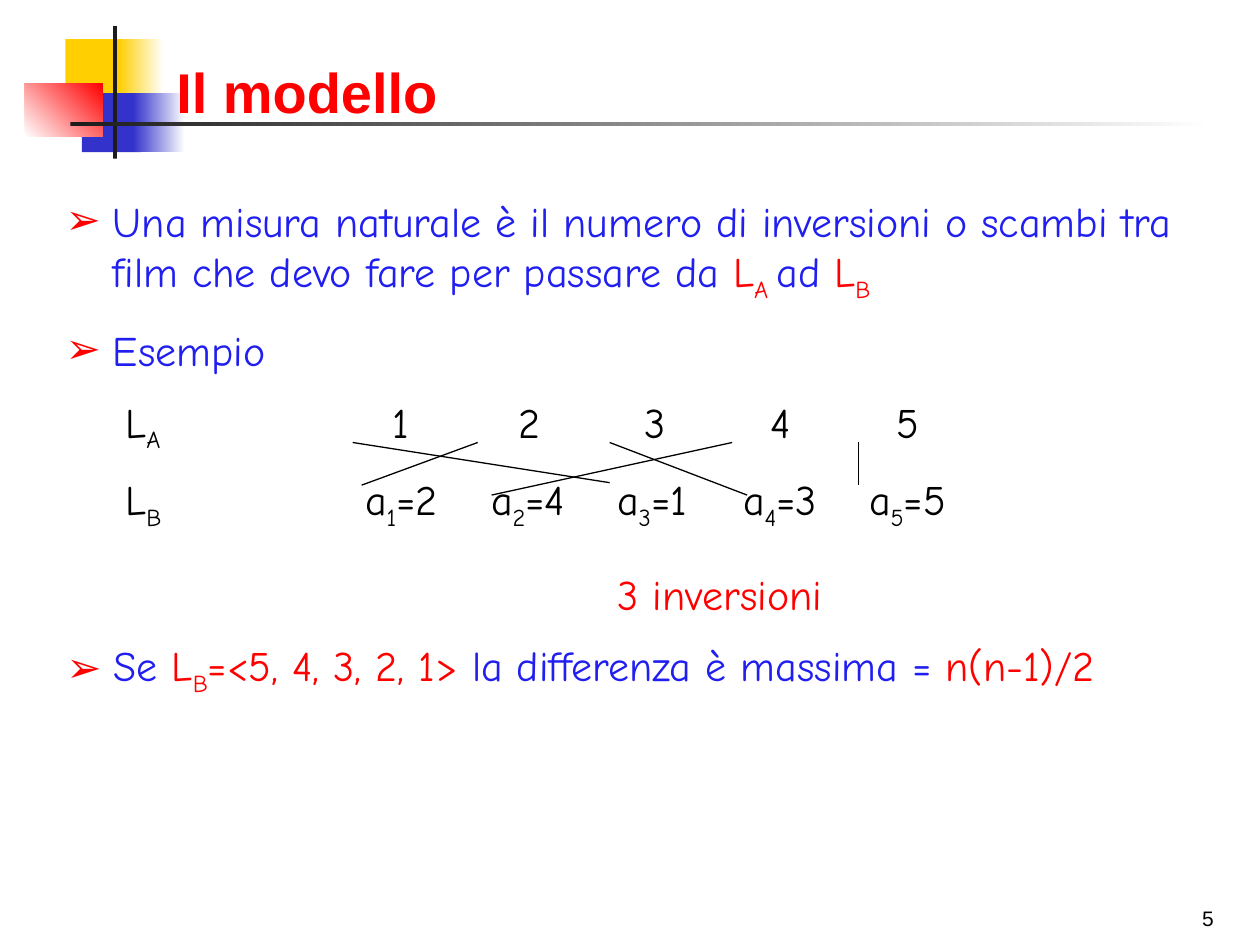
"""Build the slide "Il modello", which counts inversions between two rankings."""
from dataclasses import dataclass

from lxml.etree import SubElement
from pptx import Presentation
from pptx.dml.color import RGBColor
from pptx.enum.shapes import MSO_CONNECTOR, MSO_SHAPE
from pptx.enum.text import MSO_ANCHOR, MSO_AUTO_SIZE, PP_ALIGN
from pptx.oxml.ns import qn
from pptx.util import Cm, Pt


@dataclass(frozen=True)
class Theme:
    red: str = "FF0000"
    blue: str = "201FF0"
    black: str = "000000"
    white: str = "FFFFFF"
    yellow: str = "FFCF01"
    indigo: str = "3333CC"
    charcoal: str = "1C1C1C"
    heading_font: str = "Arial"
    body_font: str = "Comic Neue"
    title_size: int = 32
    body_size: int = 24
    number_size: int = 12


theme = Theme()


def write_text(paragraph, text, color=theme.blue, size=theme.body_size,
               font=theme.body_font, bold=False):
    """Add runs to a paragraph; every second part between bars is a subscript."""
    for index, part in enumerate(text.split("|")):
        if not part:
            continue
        run = paragraph.add_run()
        run.text = part
        run.font.name = font
        run.font.size = Pt(size)
        run.font.bold = bold
        run.font.color.rgb = RGBColor.from_string(color)
        if index % 2:
            run.font._element.set("baseline", "-25000")


def add_lines(frame, lines):
    """Fill a text frame with lines of (bullet, left margin, pieces)."""
    frame.word_wrap = True
    frame.auto_size = MSO_AUTO_SIZE.NONE
    for index, (bullet, margin, pieces) in enumerate(lines):
        paragraph = frame.add_paragraph() if index else frame.paragraphs[0]
        properties = paragraph._p.get_or_add_pPr()
        properties.set("marL", str(Cm(margin)))
        properties.set("indent", str(-Cm(margin) if bullet else 0))
        if bullet:
            bullet_color = SubElement(properties, qn("a:buClr"))
            SubElement(bullet_color, qn("a:srgbClr"), val=theme.red)
            SubElement(properties, qn("a:buFont"), typeface=theme.heading_font)
            SubElement(properties, qn("a:buChar"), char=bullet)
        else:
            SubElement(properties, qn("a:buNone"))
        paragraph.space_before = Pt(12 if index else 0)
        for text, color in pieces:
            write_text(paragraph, text, color=color)


presentation = Presentation()
presentation.slide_width = Cm(25.4)
presentation.slide_height = Cm(19.05)
slide = presentation.slides.add_slide(presentation.slide_layouts[1])
title, body = slide.placeholders

decorations = [
    (1.32, 0.79, 1.22, 1.19, [theme.yellow], 0),
    (2.39, 0.79, 0.91, 1.19, [theme.yellow, theme.white], 0),
    (1.65, 1.88, 1.19, 1.19, [theme.indigo], 0),
    (2.69, 1.88, 1.04, 1.19, [theme.indigo, theme.white], 0),
    (0.5, 1.68, 1.57, 1.07, [theme.white, theme.red], 45),
    (2.28, 0.53, 0.08, 2.67, [theme.charcoal], 0),
    (1.42, 2.46, 23.01, 0.08, [theme.charcoal, theme.white], 0),
]
for left, top, width, height, colors, angle in decorations:
    shape = slide.shapes.add_shape(
        MSO_SHAPE.RECTANGLE, Cm(left), Cm(top), Cm(width), Cm(height))
    shape.shadow.inherit = False
    shape.line.fill.background()
    if len(colors) == 1:
        shape.fill.solid()
        shape.fill.fore_color.rgb = RGBColor.from_string(colors[0])
    else:
        shape.fill.gradient()
        shape.fill.gradient_angle = angle
        for position, (stop, color) in enumerate(zip(shape.fill.gradient_stops, colors)):
            stop.position = position
            stop.color.rgb = RGBColor.from_string(color)
    title._element.addprevious(shape._element)

title.left, title.top, title.width, title.height = Cm(3.3), Cm(0.74), Cm(20.93), Cm(1.9)
title.text_frame.vertical_anchor = MSO_ANCHOR.BOTTOM
title.text_frame.auto_size = MSO_AUTO_SIZE.NONE
heading = title.text_frame.paragraphs[0]
heading.alignment = PP_ALIGN.LEFT
write_text(heading, "Il modello", color=theme.red, size=theme.title_size,
           font=theme.heading_font, bold=True)

bullet = "➢"
hanging = 0.95

body.left, body.top, body.width, body.height = Cm(1.07), Cm(3.81), Cm(23.24), Cm(7.72)
add_lines(body.text_frame, [
    (bullet, hanging, [
        ("Una misura naturale è il numero di inversioni o scambi tra film "
         "che devo fare per passare da ", theme.blue),
        ("L|A |", theme.red), ("ad ", theme.blue), ("L|B", theme.red)]),
    (bullet, hanging, [("Esempio", theme.blue)]),
])

ranking = [2, 4, 1, 3, 5]
example_rows = [
    (7.86, 7.66, "L|A", [str(place) for place in sorted(ranking)]),
    (9.43, 7.11, "L|B", [f"a|{index}|={place}" for index, place in enumerate(ranking, 1)]),
]
column_width = 2.54
for top, first_left, label, entries in example_rows:
    cells = [(2.28, label)]
    cells += [(first_left + column_width * column, entry)
              for column, entry in enumerate(entries)]
    for left, text in cells:
        cell = slide.shapes.add_textbox(Cm(left), Cm(top), Cm(column_width), Cm(1.4))
        add_lines(cell.text_frame, [(None, 0, [(text, theme.black)])])

links = [
    (9.63, 7.29, 9.78),
    (14.76, 9.91, 9.98),
    (17.3, 17.3, 9.78),
    (12.29, 15.06, 9.98),
    (7.11, 12.29, 9.73),
]
for start, end, bottom in links:
    link = slide.shapes.add_connector(
        MSO_CONNECTOR.STRAIGHT, Cm(start), Cm(8.92), Cm(end), Cm(bottom))
    link.line.color.rgb = RGBColor.from_string(theme.black)
    link.line.width = Pt(0.75)
    SubElement(link._element.spPr, qn("a:effectLst"))

number_box = slide.shapes.add_textbox(Cm(22.71), Cm(18.14), Cm(2.01), Cm(0.76))
number_box.text_frame.word_wrap = True
number = number_box.text_frame.paragraphs[0]
number.alignment = PP_ALIGN.RIGHT
write_text(number, "5", color=theme.black, size=theme.number_size,
           font=theme.heading_font)

conclusion = slide.shapes.add_textbox(Cm(1.09), Cm(11.33), Cm(23.39), Cm(4.19))
add_lines(conclusion.text_frame, [
    (None, 11.11, [("3 inversioni", theme.red)]),
    (bullet, hanging, [
        ("Se ", theme.blue), ("L|B|=<5, 4, 3, 2, 1> ", theme.red),
        ("la differenza è massima = ", theme.blue), ("n(n-1)/2", theme.red)]),
])

presentation.save("out.pptx")
